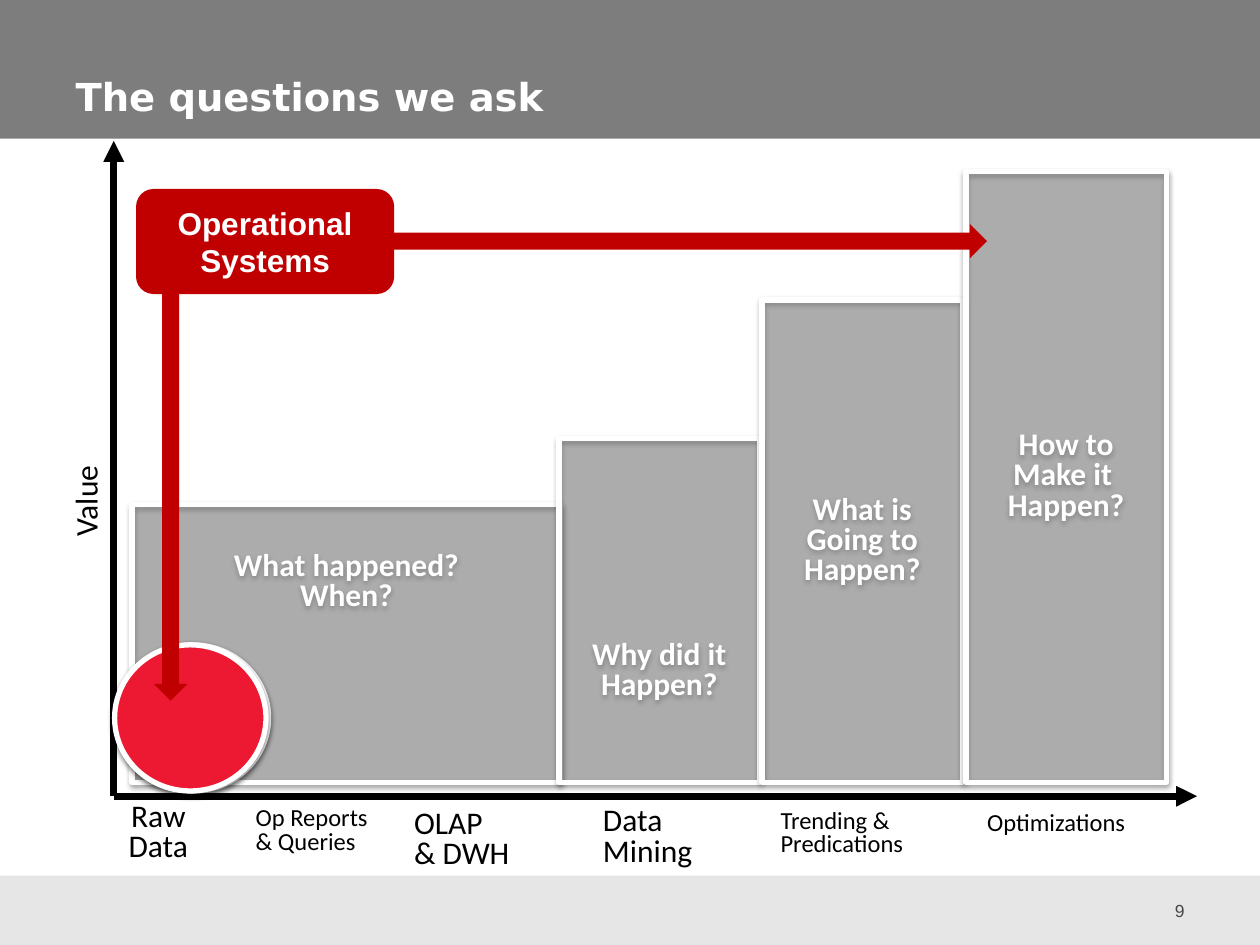
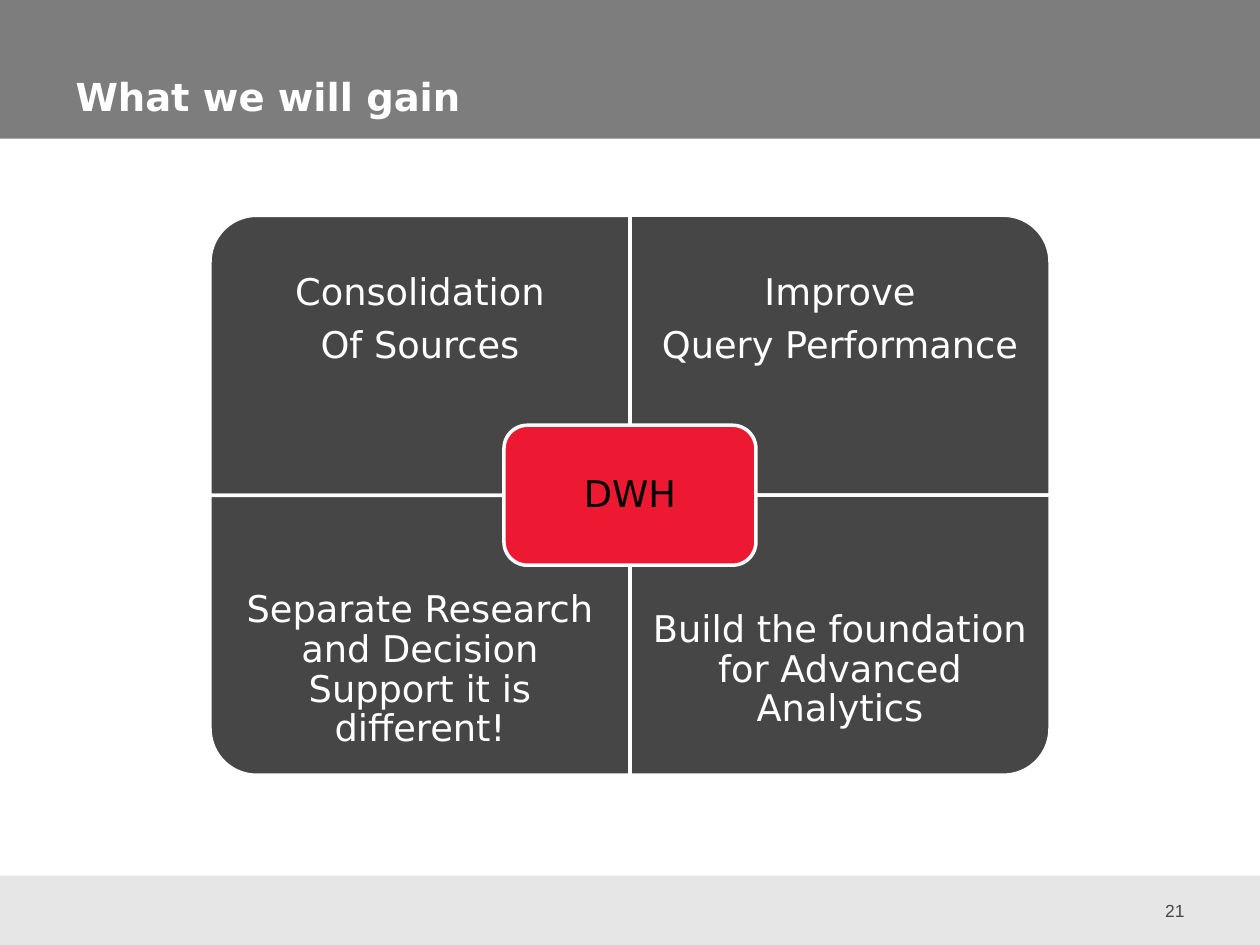
from lxml.etree import SubElement
from pptx import Presentation
from pptx.dml.color import RGBColor
from pptx.enum.shapes import MSO_CONNECTOR, MSO_SHAPE
from pptx.enum.text import MSO_ANCHOR, PP_ALIGN
from pptx.oxml.ns import qn
from pptx.util import Pt

# Shared look
WHITE, BLACK = "FFFFFF", "000000"
BAND, FOOT, DARK = "7D7D7D", "E6E6E6", "464646"
RED, CRIMSON, GREY = "ED1933", "C00000", "595959"
HEAD, BODY, PLAIN = "DejaVu Sans", "Calibri", "Arial"
LEFT, MID, RIGHT = PP_ALIGN.LEFT, PP_ALIGN.CENTER, PP_ALIGN.RIGHT


def paint(color, code):
    color.rgb = RGBColor.from_string(code)


def write(shape, text, size, font, code, bold=False, align=MID,
          anchor=MSO_ANCHOR.MIDDLE, wrap=True, space=None, after=None):
    frame = shape.text_frame
    frame.text = text
    frame.word_wrap = wrap
    frame.vertical_anchor = anchor
    for para in frame.paragraphs:
        para.alignment = align
        para.line_spacing = space
        if after:
            para.space_after = Pt(after)
        for run in para.runs:
            run.font.size = Pt(size)
            run.font.name = font
            run.font.bold = bold
            paint(run.font.color, code)
    return frame


def add_text(slide, box, text, size, font, code, **style):
    shape = slide.shapes.add_textbox(*map(Pt, box))
    write(shape, text, size, font, code, **style)
    return shape


def add_box(slide, kind, box, code, edge=0):
    shape = slide.shapes.add_shape(kind, *map(Pt, box))
    shape.shadow.inherit = False
    shape.fill.solid()
    paint(shape.fill.fore_color, code)
    if edge:
        shape.line.width = Pt(edge)
        paint(shape.line.color, WHITE)
    else:
        shape.line.fill.background()
    return shape


def set_alpha(color, share):
    SubElement(color, qn("a:alpha"), val=str(share * 1000))


def add_shade(shape):
    """Soft shadow falling straight down."""
    effects = shape.element.spPr.find(qn("a:effectLst"))
    shade = SubElement(effects, qn("a:outerShdw"), blurRad=str(Pt(3.1)),
                       dist=str(Pt(1.6)), dir="5400000", rotWithShape="0")
    set_alpha(SubElement(shade, qn("a:srgbClr"), val=BLACK), 38)


def add_axis(slide, start, end):
    axis = slide.shapes.add_connector(MSO_CONNECTOR.STRAIGHT,
                                      *map(Pt, start + end))
    axis.line.width = Pt(4)
    paint(axis.line.color, BLACK)
    SubElement(axis.line._get_or_add_ln(), qn("a:tailEnd"), type="triangle")
    SubElement(axis.element.spPr, qn("a:effectLst"))


def add_bands(slide):
    """Put the header and footer bands on the layout, behind everything."""
    tree = slide.slide_layout.shapes.element
    for box, code in (((0, 0, 720, 79.2), BAND), ((0, 500.4, 720, 39.6), FOOT)):
        band = add_box(slide, MSO_SHAPE.RECTANGLE, box, code)
        tree.insert(2, band.element)


def add_slide(deck, title, number):
    slide = deck.slides.add_slide(deck.slide_layouts[5])
    if len(deck.slides) == 1:
        add_bands(slide)
    head = slide.shapes.title
    head.left, head.top, head.width, head.height = map(Pt, (36, 27.5, 639.5, 44.5))
    write(head, title, 22, HEAD, WHITE, bold=True, align=LEFT,
          anchor=MSO_ANCHOR.BOTTOM)
    add_text(slide, (648, 505.5, 36, 29), number, 10, PLAIN, DARK, align=RIGHT)
    return slide


def add_bar(slide, left, width, height, text, above=0, below=0):
    base = 447
    bar = add_box(slide, MSO_SHAPE.RECTANGLE,
                  (left, base - height, width, height), GREY, 3)
    set_alpha(bar.element.spPr.find(qn("a:solidFill"))[0], 36)
    add_shade(bar)
    frame = write(bar, text, 18, BODY, WHITE, bold=True, wrap=False, space=0.8)
    frame.margin_top, frame.margin_bottom = Pt(3.6 + above), Pt(3.6 + below)


def add_label(slide, box, text, size, align=LEFT):
    return add_text(slide, box, text, size, BODY, BLACK, align=align,
                    anchor=MSO_ANCHOR.TOP, space=0.8)


def draw_chart(slide):
    # Bars: left, width, height, question, push from above and below
    add_bar(slide, 75.5, 245, 158.5, "What happened?\nWhen?", below=70)
    add_bar(slide, 319.5, 114.5, 196.5, "Why did it\nHappen?", above=70)
    add_bar(slide, 435.5, 114.5, 275.5, "What is\nGoing to\nHappen?")
    add_bar(slide, 552, 114.5, 349, "How to\nMake it \nHappen?")

    # Axes and their labels
    zero = (65, 455)
    add_axis(slide, zero, (65, 80.5))
    add_axis(slide, zero, (684, 455))
    add_label(slide, (31, 455.5, 119, 42.5), "Raw\nData", 18, MID)
    for left, top, width, size, text in (
            (139, 458, 79, 14, "Op Reports\n& Queries"),
            (229.5, 459.5, 78.5, 18, "OLAP\n& DWH"),
            (337.5, 458, 67, 18, "Data\nMining"),
            (439, 459.5, 111, 14, "Trending & Predications"),
            (557, 461, 109, 14, "Optimizations")):
        add_label(slide, (left, top, width, 36), text, size)
    value = add_label(slide, (21, 270.5, 60.5, 25.5), "Value", 18)
    value.rotation = 270

    # Raw data spot
    for left in (67, 65.5):
        add_shade(add_box(slide, MSO_SHAPE.OVAL, (left, 368.5, 86.5, 83.5), RED, 3))

    # Operational systems and where they reach
    source = add_box(slide, MSO_SHAPE.ROUNDED_RECTANGLE, (77.75, 108, 147.5, 60),
                     CRIMSON)
    write(source, "Operational\nSystems", 18, PLAIN, WHITE, bold=True, wrap=False)
    add_box(slide, MSO_SHAPE.RIGHT_ARROW, (225, 128, 339, 19.5), CRIMSON)
    add_box(slide, MSO_SHAPE.DOWN_ARROW, (87.75, 168, 19.5, 232.5), CRIMSON)


def add_part(slide, col, row, turn, text):
    """One quarter of the matrix, its round corner turned outwards."""
    wide, high, strip = 240, 160, 120
    left, top = 120 + col * wide, 123 + row * high
    across, down = (high, wide) if turn % 180 else (wide, high)
    box = (left + (wide - across) / 2, top + (high - down) / 2, across, down)
    part = add_box(slide, MSO_SHAPE.ROUND_1_RECTANGLE, box, DARK, 2)
    part.rotation = turn
    label = add_text(slide, (left, top + row * (high - strip), wide, strip), text,
                     21, HEAD, WHITE, space=0.9, after=7.7)
    frame = label.text_frame
    frame.margin_left = frame.margin_right = Pt(11.5)
    frame.margin_top = frame.margin_bottom = Pt(11.5)


def draw_gains(slide):
    add_part(slide, 0, 0, 270, "Consolidation\nOf Sources")
    add_part(slide, 1, 0, 0, "Improve\nQuery Performance")
    add_part(slide, 0, 1, 180,
             "Separate Research and Decision Support it is different!")
    add_part(slide, 1, 1, 90, "Build the foundation for Advanced Analytics")
    core = add_box(slide, MSO_SHAPE.ROUNDED_RECTANGLE, (288, 243, 144, 80), RED, 2)
    write(core, "DWH", 21, HEAD, BLACK, space=0.9, after=7.7)


def main():
    deck = Presentation()
    deck.slide_width, deck.slide_height = Pt(720), Pt(540)
    draw_chart(add_slide(deck, "The questions we ask", "9"))
    draw_gains(add_slide(deck, "What we will gain", "21"))
    deck.save("out.pptx")


if __name__ == "__main__":
    main()
